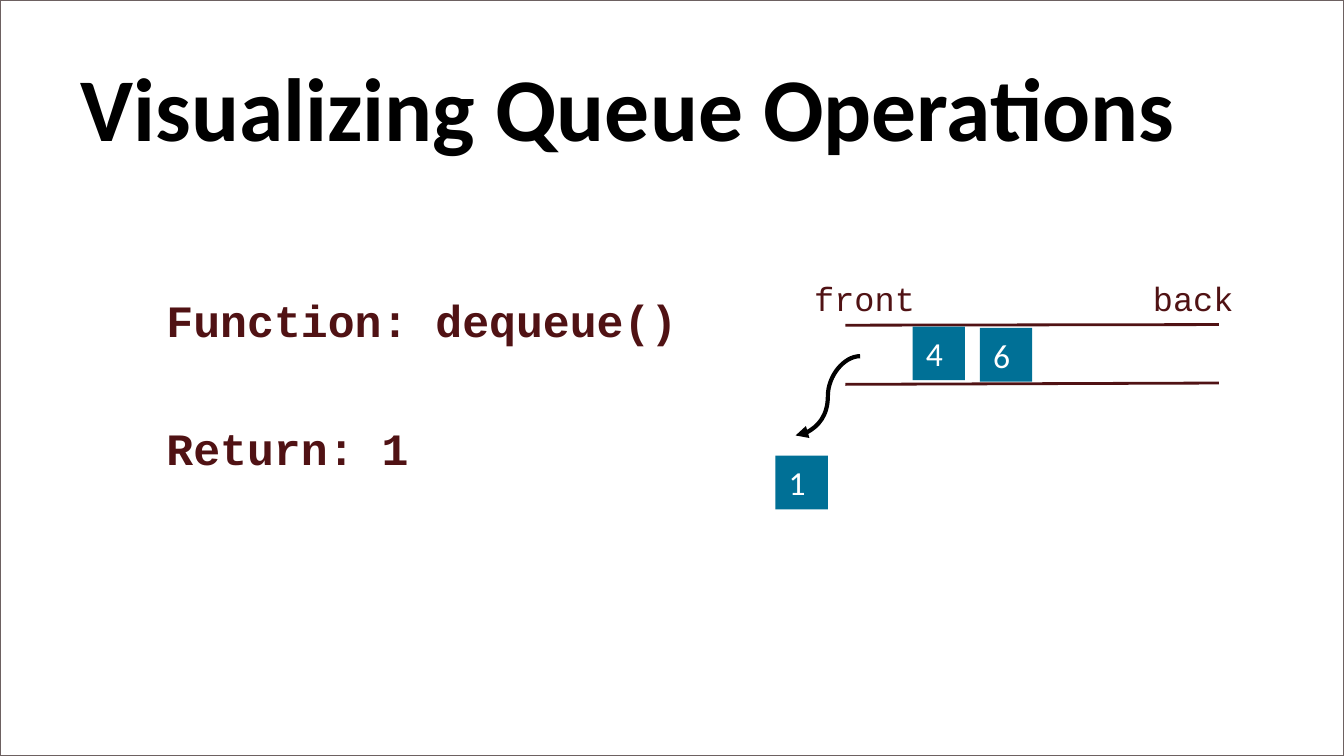
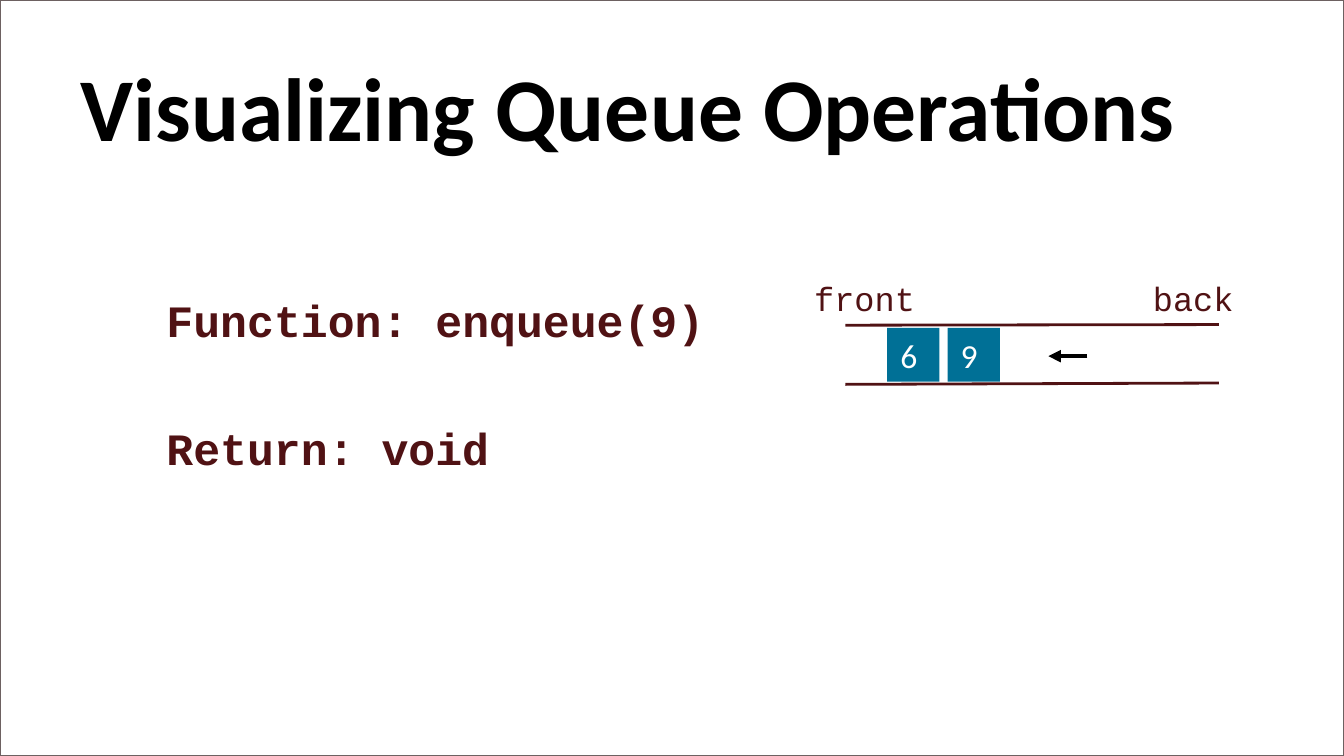
from lxml.etree import SubElement
from pptx import Presentation
from pptx.dml.color import RGBColor
from pptx.enum.shapes import MSO_CONNECTOR, MSO_SHAPE
from pptx.enum.text import MSO_ANCHOR, MSO_AUTO_SIZE, PP_ALIGN
from pptx.oxml.ns import qn
from pptx.util import Inches, Pt

# Grid: 100 columns by 56.25 rows of square cells
CELL = 0.1
COLUMNS, ROWS = 100, 56.25

# Shared style
WHITE, BLACK, MAROON, TEAL, FRAME = "FFFFFF", "000000", "501214", "007096", "6D6161"
SANS, MONO = "Calibri", "Courier New"
TITLE = "Visualizing Queue Operations"

# Queue geometry, in cells
RAIL_LEFT, RAIL_RIGHT = 62.9, 90.7
ITEM_WIDTH, ITEM_HEIGHT = 3.9, 4
ITEM_ROW = 24.4
ARROW_ROW = 26.5


def grid(*cells):
    return [Inches(cell * CELL) for cell in cells]


def color(hex_string):
    return RGBColor.from_string(hex_string)


def write(shape, text, size=18, font=SANS, ink=MAROON, bold=False, top=0.5):
    frame = shape.text_frame
    frame.word_wrap = True
    frame.auto_size = MSO_AUTO_SIZE.NONE
    frame.vertical_anchor = MSO_ANCHOR.TOP
    frame.margin_top, = grid(top)
    paragraph = frame.paragraphs[0]
    paragraph.alignment = PP_ALIGN.LEFT
    run = paragraph.add_run()
    run.text = text
    run.font.size = Pt(size)
    run.font.name = font
    run.font.bold = bold
    run.font.color.rgb = color(ink)


def add_label(slide, text, left, top, width, height, **style):
    box = slide.shapes.add_textbox(*grid(left, top, width, height))
    write(box, text, font=MONO, **style)


def add_box(slide, left, top, width, height, fill, border=None):
    box = slide.shapes.add_shape(MSO_SHAPE.RECTANGLE, *grid(left, top, width, height))
    box.shadow.inherit = False
    box.fill.solid()
    box.fill.fore_color.rgb = color(fill)
    if border:
        box.line.color.rgb = color(border)
        box.line.width = Pt(1)
    else:
        box.line.fill.background()
    return box


def add_item(slide, value, left, top=ITEM_ROW):
    item = add_box(slide, left, top, ITEM_WIDTH, ITEM_HEIGHT, TEAL)
    write(item, value, ink=WHITE)


def add_line(slide, start, end, ink=MAROON, width=1.5, kind=MSO_CONNECTOR.STRAIGHT):
    line = slide.shapes.add_connector(kind, *grid(*start, *end))
    line.line.color.rgb = color(ink)
    line.line.width = Pt(width)
    SubElement(line.element.spPr, qn("a:effectLst"))
    return line


def add_arrow(slide, start, end, kind=MSO_CONNECTOR.STRAIGHT):
    arrow = add_line(slide, start, end, BLACK, 2.25, kind)
    SubElement(arrow.line._get_or_add_ln(), qn("a:tailEnd"), type="triangle")


def add_operation(deck, call, result):
    """Slide with title, the call and its result, and an empty queue."""
    slide = deck.slides.add_slide(deck.slide_layouts[5])

    # Frame behind the title
    title = slide.shapes.title
    frame = add_box(slide, 0, 0, COLUMNS, ROWS, WHITE, FRAME)
    title.element.addprevious(frame.element)
    title.left, title.top, title.width, title.height = grid(5, 3.1, 90, 8.7)
    write(title, TITLE, size=48, ink=BLACK, bold=True, top=0.8)

    # Queue rails
    add_line(slide, (RAIL_LEFT, 24.2), (RAIL_RIGHT, 24.15))
    add_line(slide, (RAIL_LEFT, 28.6), (RAIL_RIGHT, 28.5))

    # Call and return value
    add_label(slide, f"Function: {call}", 11.4, 21.3, 42.2, 5, size=24, bold=True)
    add_label(slide, f"Return: {result}", 11.4, 30.8, 35.3, 5, size=24, bold=True)

    # Queue ends
    for end, left in (("front", 59.6), ("back", 84.8)):
        add_label(slide, end, left, 20.2, 10.3, 4)
    return slide


def main():
    deck = Presentation()
    deck.slide_width, deck.slide_height = grid(COLUMNS, ROWS)

    # Item 1 leaves the front
    dequeue = add_operation(deck, "dequeue()", "1")
    add_item(dequeue, "1", 57.7, 33.9)
    add_item(dequeue, "4", 67.9, 24.3)
    add_item(dequeue, "6", 72.9)
    add_arrow(dequeue, (64, ARROW_ROW), (59.2, 32.4), MSO_CONNECTOR.CURVE)

    # Item 9 joins the back
    enqueue = add_operation(deck, "enqueue(9)", "void")
    add_arrow(enqueue, (80.9, ARROW_ROW), (78, ARROW_ROW))
    add_item(enqueue, "6", 66)
    add_item(enqueue, "9", 70.5)

    deck.save("out.pptx")


if __name__ == "__main__":
    main()
